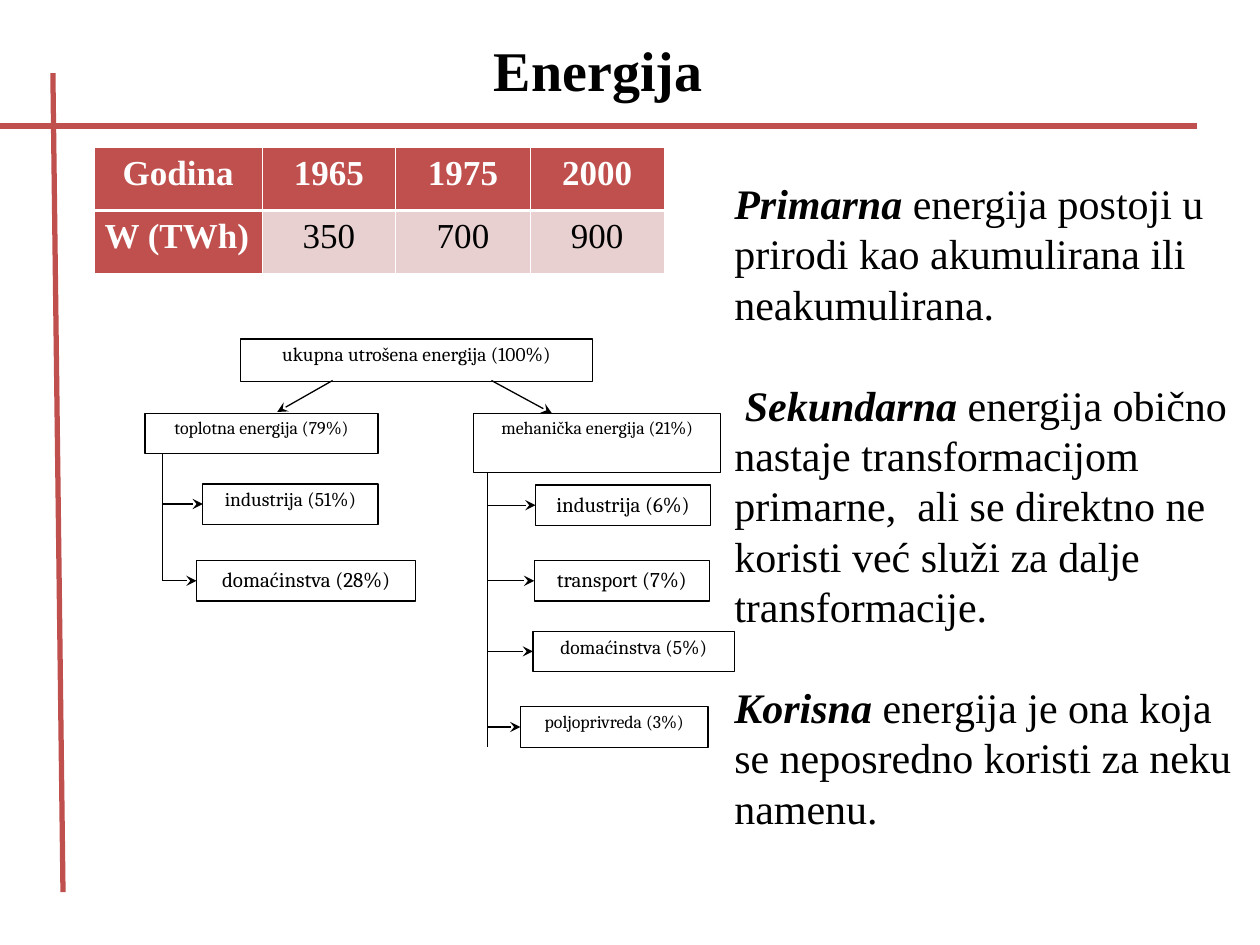
from lxml import etree
from pptx import Presentation
from pptx.dml.color import RGBColor
from pptx.enum.shapes import MSO_CONNECTOR, MSO_SHAPE
from pptx.enum.text import MSO_ANCHOR, PP_ALIGN
from pptx.oxml.ns import qn
from pptx.util import Inches, Pt

STRAIGHT = MSO_CONNECTOR.STRAIGHT
PROCESS = MSO_SHAPE.FLOWCHART_PROCESS
TOP = MSO_ANCHOR.TOP
LEFT, CENTER, JUSTIFY = PP_ALIGN.LEFT, PP_ALIGN.CENTER, PP_ALIGN.JUSTIFY
COLORS = {"red": "C0504D", "pink": "E8D0D0", "black": "000000", "white": "FFFFFF"}
SERIF, CHART_FONT = "Times New Roman", "Cambria"
COLUMNS, ROWS = 100, 75

ENERGY_USE = [["Godina", "1965", "1975", "2000"], ["W (TWh)", "350", "700", "900"]]
TOTAL_BOXES = [
    ("ukupna utrošena energija (100%)", 19.1, 26.9, 27.9, 3.4, 11.1),
    ("toplotna energija (79%)", 11.5, 32.8, 18.5, 3.2, 10.2),
    ("mehanička energija (21%)", 37.6, 32.8, 19.6, 4.7, 10.2),
]
HEAT_BOXES = [
    ("industrija (51%)", 16.1, 38.4, 13.9, 3.2, 11.1),
    ("domaćinstva (28%)", 15.6, 44.5, 17.4, 3.2, 12),
]
MECHANICAL_BOXES = [
    ("industrija (6%)", 42.5, 38.5, 13.9, 3.2, 12),
    ("transport (7%)", 42.4, 44.5, 13.9, 3.2, 12),
    ("domaćinstva (5%)", 42.3, 50.1, 16, 3.2, 11.1),
    ("poljoprivreda (3%)", 41.3, 56.1, 14.9, 3.2, 10.2),
]
TRUNKS = [(12.9, 36, 46.1, HEAT_BOXES), (38.7, 37.5, 59.3, MECHANICAL_BOXES)]
DEFINITIONS = [
    [("Primarna", True),
     (" energija postoji u prirodi kao akumulirana ili neakumulirana.", False)],
    [(" ", False), ("Sekundarna", True),
     (" energija obično nastaje transformacijom primarne,  ali se direktno ne "
      "koristi već služi za dalje transformacije.", False)],
    [("Korisna ", True),
     ("energija je ona koja se neposredno koristi za neku namenu.", False)],
]


class SlideBuilder:
    """Draws styled elements on a slide divided into a grid of columns and rows."""

    def __init__(self):
        self.deck = Presentation()
        self.deck.slide_width, self.deck.slide_height = Inches(10), Inches(7.5)
        self.page = self.deck.slides.add_slide(self.deck.slide_layouts[5])

    def place(self, column, row):
        return (int(self.deck.slide_width * column / COLUMNS),
                int(self.deck.slide_height * row / ROWS))

    def color(self, name):
        return RGBColor.from_string(COLORS[name])

    def format(self, target, **values):
        for name, value in values.items():
            setattr(target, name, value)

    def span(self, para, text, size, font=SERIF, color="black", bold=False, italic=False):
        span = para.add_run()
        span.text = text
        self.format(span.font, size=Pt(size), name=font, bold=bold, italic=italic)
        span.font.color.rgb = self.color(color)

    def frame(self, box):
        frame = box.text_frame
        self.format(frame, word_wrap=True, vertical_anchor=TOP,
                    margin_left=Inches(0.1), margin_right=Inches(0.1),
                    margin_top=Inches(0.05), margin_bottom=Inches(0.05))
        return frame

    def title(self, text, column, row, width, height):
        box = self.page.shapes.title
        box.left, box.top = self.place(column, row)
        box.width, box.height = self.place(width, height)
        para = self.frame(box).paragraphs[0]
        para.alignment = LEFT
        self.span(para, text, 32, bold=True)

    def line(self, start, end, color="black", width=0.75, arrow=False):
        line = self.page.shapes.add_connector(STRAIGHT, *self.place(*start), *self.place(*end))
        line.line.color.rgb = self.color(color)
        line.line.width = Pt(width)
        properties = line._element.spPr
        if arrow:
            etree.SubElement(properties.find(qn("a:ln")), qn("a:tailEnd"), type="stealth")
        etree.SubElement(properties, qn("a:effectLst"))

    def process(self, text, column, row, width, height, size):
        box = self.page.shapes.add_shape(PROCESS, *self.place(column, row),
                                         *self.place(width, height))
        box.shadow.inherit = False
        box.fill.solid()
        box.fill.fore_color.rgb = self.color("white")
        box.line.color.rgb = self.color("black")
        box.line.width = Pt(0.75)
        para = self.frame(box).paragraphs[0]
        self.format(para, alignment=CENTER, line_spacing=1.0 if size == 12 else 0.9)
        self.span(para, text, size, CHART_FONT)

    def branch(self, trunk, top, bottom, boxes):
        self.line((trunk, top), (trunk, bottom))
        for _, column, row, _, height, _ in boxes:
            middle = row + height / 2
            self.line((trunk, middle), (column, middle), arrow=True)

    def border(self, cell, side, width):
        line = etree.SubElement(cell._tc.get_or_add_tcPr(), qn(f"a:ln{side}"),
                                w=str(int(Pt(width))))
        fill = etree.SubElement(line, qn("a:solidFill"))
        etree.SubElement(fill, qn("a:srgbClr"), val=COLORS["white"])

    def table(self, rows, column, row, widths, row_height):
        table = self.page.shapes.add_table(
            len(rows), len(widths), *self.place(column, row),
            *self.place(sum(widths), row_height * len(rows))).table
        for index, width in enumerate(widths):
            table.columns[index].width = self.place(width, 0)[0]
        for y, values in enumerate(rows):
            table.rows[y].height = self.place(0, row_height)[1]
            for x, value in enumerate(values):
                self.cell(table.cell(y, x), value, y, x)

    def cell(self, cell, text, y, x):
        header = y == 0 or x == 0
        self.format(cell, margin_left=Inches(0.08), margin_right=Inches(0.08),
                    margin_top=Inches(0.05), margin_bottom=Inches(0.05))
        widths = {"L": 0.45, "R": 0.45, "T": 1.47 if y else 0.45, "B": 0.45 if y else 1.47}
        for side, width in widths.items():
            self.border(cell, side, width)
        cell.fill.solid()
        cell.fill.fore_color.rgb = self.color("red" if header else "pink")
        para = cell.text_frame.paragraphs[0]
        para.alignment = JUSTIFY if y and not x else CENTER
        self.span(para, text, 20, color="white" if header else "black", bold=header)

    def text(self, paragraphs, column, row, width, height, size, gap):
        box = self.page.shapes.add_textbox(*self.place(column, row), *self.place(width, height))
        frame = self.frame(box)
        for index, spans in enumerate(paragraphs):
            para = frame.add_paragraph() if index else frame.paragraphs[0]
            para.space_before = Pt(gap if index else 0)
            for text, strong in spans:
                self.span(para, text, size, bold=strong, italic=strong)


def main():
    slide = SlideBuilder()
    slide.line((0, 10), (95, 10), "red", 3)
    slide.line((4.2, 5.8), (5, 70.8), "red", 3)
    slide.title("Energija", 38.2, 2.3, 20, 6.4)
    slide.table(ENERGY_USE, 7.5, 11.7, [13.3, 10.6, 10.7, 10.6], 5)
    for box in TOTAL_BOXES + HEAT_BOXES + MECHANICAL_BOXES:
        slide.process(*box)
    slide.line((26.4, 30.2), (22, 32.7), arrow=True)
    slide.line((39, 30.2), (43.8, 32.8), arrow=True)
    for trunk in TRUNKS:
        slide.branch(*trunk)
    slide.text(DEFINITIONS, 57.3, 13.6, 42.7, 53, 24, 28.8)
    slide.deck.save("out.pptx")


if __name__ == "__main__":
    main()
